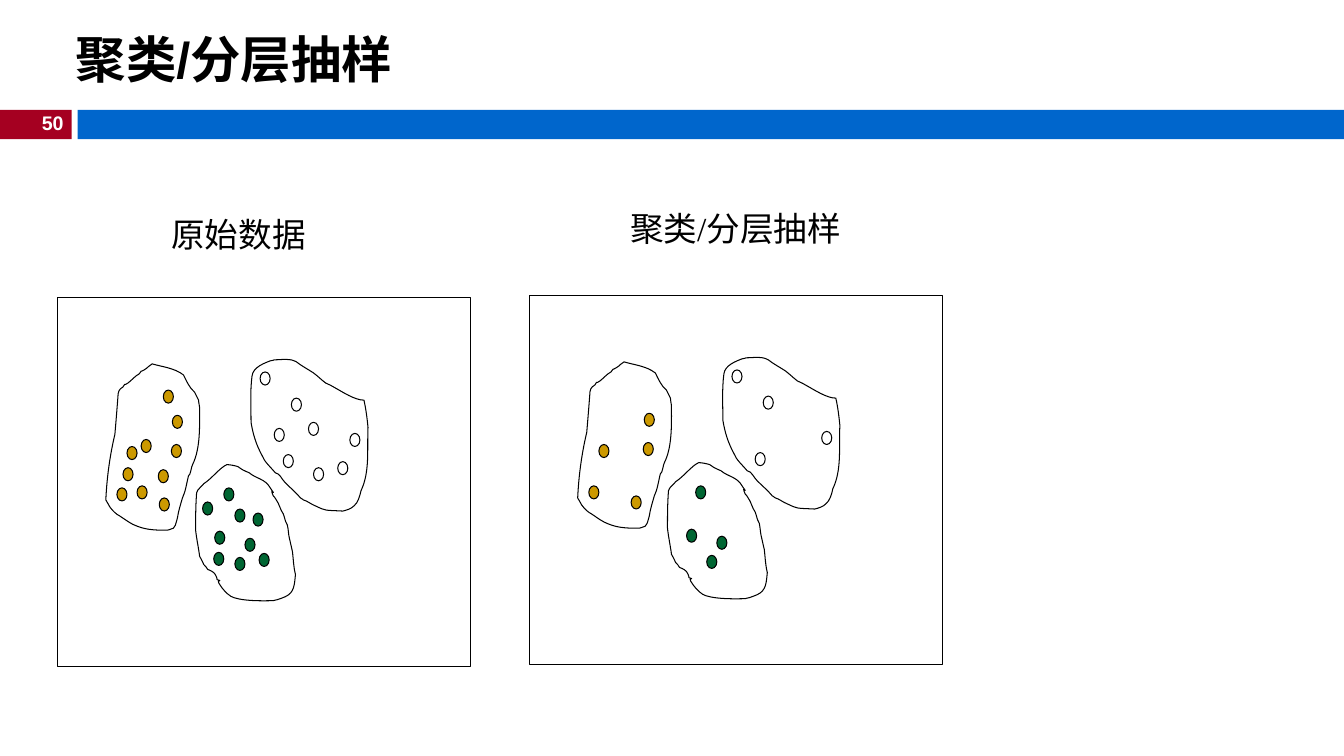
from lxml import etree
from pptx import Presentation
from pptx.dml.color import RGBColor
from pptx.enum.shapes import MSO_SHAPE
from pptx.enum.text import MSO_ANCHOR, PP_ALIGN
from pptx.oxml.ns import qn
from pptx.util import Inches, Pt

BLACK = RGBColor(0x00, 0x00, 0x00)
WHITE = RGBColor(0xFF, 0xFF, 0xFF)
RED = RGBColor(0xA5, 0x00, 0x21)
BLUE = RGBColor(0x00, 0x66, 0xCC)
GREEN = RGBColor(0x00, 0x66, 0x33)
GOLD = RGBColor(0xCC, 0x99, 0x00)

# Each outline is a start point followed by cubic curves of three points each.
WHITE_OUTLINE = [
    (3.61, 3.97), (3.63, 4.06), (3.64, 4.14), (3.65, 4.24), (3.64, 4.46), (3.67, 4.68), (3.58, 4.87),
    (3.57, 4.92), (3.55, 4.99), (3.51, 5.02), (3.48, 5.05), (3.44, 5.06), (3.4, 5.07),
    (3.21, 5.06), (3.24, 5.07), (3.13, 5.02), (3.08, 5), (3.05, 4.97), (3.01, 4.96),
    (3, 4.95), (2.98, 4.94), (2.98, 4.94), (2.93, 4.88), (2.88, 4.84), (2.83, 4.79),
    (2.79, 4.75), (2.78, 4.7), (2.73, 4.69), (2.69, 4.64), (2.62, 4.58), (2.6, 4.52),
    (2.54, 4.41), (2.51, 4.31), (2.49, 4.19), (2.49, 4.04), (2.48, 3.88), (2.5, 3.73),
    (2.51, 3.64), (2.63, 3.6), (2.68, 3.58), (2.7, 3.58), (2.72, 3.57), (2.72, 3.57),
    (2.8, 3.57), (2.87, 3.55), (2.94, 3.59), (2.99, 3.63), (3.05, 3.66), (3.11, 3.7),
    (3.15, 3.73), (3.19, 3.77), (3.23, 3.8), (3.26, 3.82), (3.29, 3.82), (3.31, 3.84),
    (3.4, 3.89), (3.52, 3.97), (3.61, 3.97),
]
GREEN_OUTLINE = [
    (2.18, 5.76), (2.13, 5.74), (2.17, 5.77), (2.14, 5.71), (2.13, 5.68), (2.09, 5.66), (2.06, 5.65),
    (2.05, 5.63), (2.04, 5.62), (2.02, 5.6), (2.01, 5.57), (1.98, 5.52), (1.98, 5.52),
    (1.97, 5.44), (1.95, 5.35), (1.94, 5.26), (1.94, 5.14), (1.94, 5.02), (1.95, 4.89),
    (1.95, 4.86), (2.02, 4.81), (2.02, 4.8), (2.1, 4.75), (2.18, 4.64), (2.25, 4.61),
    (2.28, 4.61), (2.33, 4.62), (2.36, 4.63), (2.4, 4.66), (2.42, 4.67), (2.47, 4.69),
    (2.54, 4.75), (2.63, 4.75), (2.68, 4.84), (2.76, 4.96), (2.66, 4.8), (2.71, 4.92),
    (2.72, 4.93), (2.73, 4.94), (2.74, 4.96), (2.77, 5), (2.78, 5.06), (2.81, 5.1),
    (2.84, 5.19), (2.82, 5.15), (2.85, 5.21), (2.86, 5.25), (2.86, 5.3), (2.87, 5.34),
    (2.88, 5.38), (2.89, 5.43), (2.9, 5.47), (2.91, 5.55), (2.91, 5.62), (2.93, 5.7),
    (2.92, 5.8), (2.92, 5.88), (2.83, 5.92), (2.81, 5.93), (2.78, 5.94), (2.75, 5.95),
    (2.74, 5.95), (2.71, 5.96), (2.71, 5.96), (2.66, 5.96), (2.44, 5.97), (2.32, 5.93),
    (2.28, 5.92), (2.23, 5.87), (2.2, 5.83), (2.19, 5.81), (2.14, 5.76), (2.18, 5.76),
]
GOLD_OUTLINE = [
    (1.87, 4.72), (1.85, 4.8), (1.84, 4.88), (1.81, 4.94), (1.79, 5.01), (1.77, 5.07), (1.76, 5.14),
    (1.75, 5.16), (1.75, 5.19), (1.74, 5.21), (1.73, 5.22), (1.73, 5.23), (1.72, 5.24),
    (1.7, 5.25), (1.66, 5.26), (1.66, 5.26), (1.56, 5.26), (1.46, 5.26), (1.36, 5.22),
    (1.3, 5.2), (1.25, 5.16), (1.19, 5.12), (1.15, 5.1), (1.12, 5.07), (1.09, 5.03),
    (1.08, 5.01), (1.05, 4.96), (1.05, 4.96), (1.06, 4.74), (1.09, 4.52), (1.14, 4.31),
    (1.15, 4.19), (1.16, 4.07), (1.17, 3.94), (1.17, 3.89), (1.18, 3.86), (1.22, 3.84),
    (1.26, 3.78), (1.21, 3.84), (1.27, 3.8), (1.31, 3.77), (1.34, 3.73), (1.38, 3.71),
    (1.42, 3.66), (1.38, 3.7), (1.43, 3.67), (1.47, 3.65), (1.48, 3.62), (1.51, 3.61),
    (1.61, 3.64), (1.73, 3.65), (1.82, 3.72), (1.85, 3.78), (1.88, 3.85), (1.93, 3.89),
    (1.94, 3.92), (1.96, 3.94), (1.97, 3.97), (1.97, 3.99), (1.98, 4.04), (1.98, 4.04),
    (1.98, 4.22), (1.99, 4.45), (1.91, 4.61), (1.9, 4.62), (1.89, 4.72), (1.87, 4.72),
]

# Fill, dots that are sampled, dots that are left out, outline
CLUSTERS = [
    (WHITE, [(2.89, 3.95), (2.81, 4.51), (3.47, 4.3), (2.58, 3.69)],
     [(3.06, 4.19), (2.72, 4.25), (3.35, 4.58), (3.11, 4.64)], WHITE_OUTLINE),
    (GREEN, [(2.33, 5.53), (2.43, 5.34), (2.13, 5.27), (2.22, 4.84)],
     [(2.01, 4.98), (2.51, 5.09), (2.12, 5.48), (2.33, 5.05), (2.57, 5.49)], GREEN_OUTLINE),
    (GOLD, [(1.16, 4.84), (1.26, 4.43), (1.58, 4.94), (1.7, 4.41), (1.71, 4.12)],
     [(1.36, 4.82), (1.22, 4.64), (1.57, 4.66), (1.4, 4.36), (1.62, 3.87)], GOLD_OUTLINE),
]


def paint(shape, fill=None, line=None):
    shape.shadow.inherit = False
    if fill is None:
        shape.fill.background()
    else:
        shape.fill.solid()
        shape.fill.fore_color.rgb = fill
    if line is None:
        shape.line.fill.background()
    else:
        shape.line.color.rgb = line
        shape.line.width = Pt(0.75)


def bend(shape):
    """Turn every three line segments of a freeform into one cubic curve."""
    segments = shape._element.xpath(".//a:lnTo")
    for i in range(0, len(segments), 3):
        curve = etree.Element(qn("a:cubicBezTo"))
        segments[i].addprevious(curve)
        for segment in segments[i:i + 3]:
            curve.append(segment[0])
            segment.getparent().remove(segment)


deck = Presentation()
deck.slide_width, deck.slide_height = Inches(13.33), Inches(7.5)
page = deck.slides.add_slide(deck.slide_layouts[5])

for left, width, color in [(0, 0.71, RED), (0.77, 12.56, BLUE)]:
    bar = page.shapes.add_shape(MSO_SHAPE.RECTANGLE, Inches(left), Inches(1.09),
                                Inches(width), Inches(0.29))
    paint(bar, fill=color)

title = page.shapes.title
title.left, title.top, title.width, title.height = map(Inches, (0.65, 0.11, 9.54, 0.94))
title.text_frame.text = "聚类/分层抽样"
title.text_frame.vertical_anchor = MSO_ANCHOR.MIDDLE
heading = title.text_frame.paragraphs[0]
heading.alignment = PP_ALIGN.LEFT
heading.font.name, heading.font.size, heading.font.bold = "Arial", Pt(36), True
heading.font.color.rgb = BLACK

# Left panel holds every dot; the right one only the sample
for dx, dy, sampled_only in [(0, 0, False), (4.68, -0.02, True)]:
    panel = page.shapes.add_group_shape()
    frame = panel.shapes.add_shape(MSO_SHAPE.RECTANGLE, Inches(0.57 + dx), Inches(2.95 + dy),
                                   Inches(4.1), Inches(3.66))
    paint(frame, line=BLACK)
    for color, sampled, left_out, outline in CLUSTERS:
        for x, y in sampled if sampled_only else sampled + left_out:
            dot = panel.shapes.add_shape(MSO_SHAPE.FLOWCHART_CONNECTOR, Inches(x + dx),
                                         Inches(y + dy), Inches(0.1), Inches(0.13))
            paint(dot, color, BLACK)
        points = [(Inches(x + dx), Inches(y + dy)) for x, y in outline]
        builder = panel.shapes.build_freeform(*points[0])
        builder.add_line_segments(points[1:], close=True)
        border = builder.convert_to_shape()
        # The closing segment the builder may add is dropped by the close command
        bend(border)
        paint(border, line=BLACK)

for text, place, font, size, bold, color, align in [
    ("50", (0.29, 1.05, 0.44, 0.34), "Arial", 14, True, WHITE, PP_ALIGN.RIGHT),
    ("原始数据", (1.6, 2.07, 1.55, 0.51), "Times New Roman", 24, False, BLACK, PP_ALIGN.LEFT),
    ("聚类/分层抽样", (6.15, 2.01, 2.31, 0.51), "Times New Roman", 24, False, BLACK, PP_ALIGN.LEFT),
]:
    box = page.shapes.add_textbox(*map(Inches, place))
    box.text_frame.word_wrap = True
    para = box.text_frame.paragraphs[0]
    para.text, para.alignment = text, align
    para.font.name, para.font.size, para.font.bold = font, Pt(size), bold
    para.font.color.rgb = color

deck.save("out.pptx")
